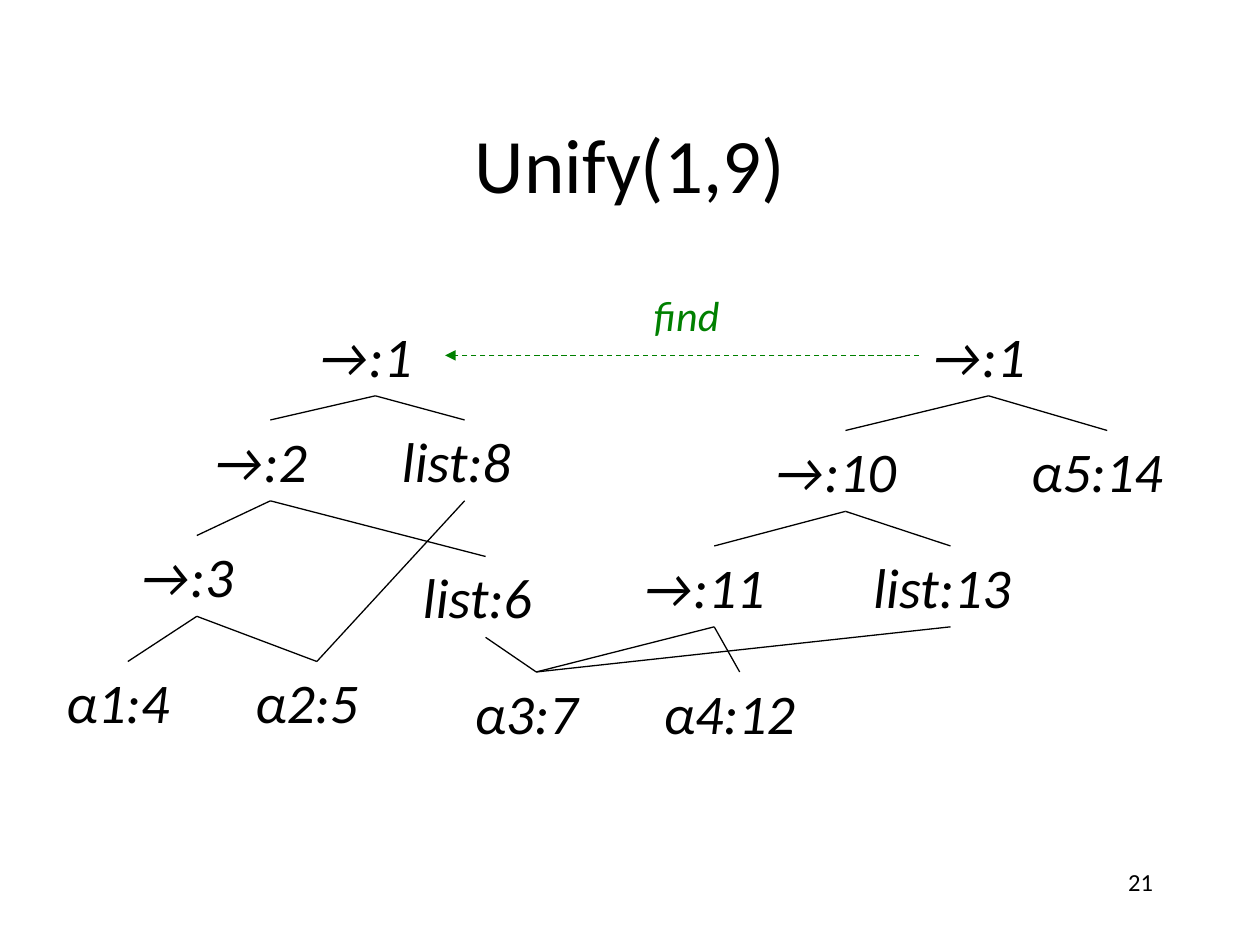
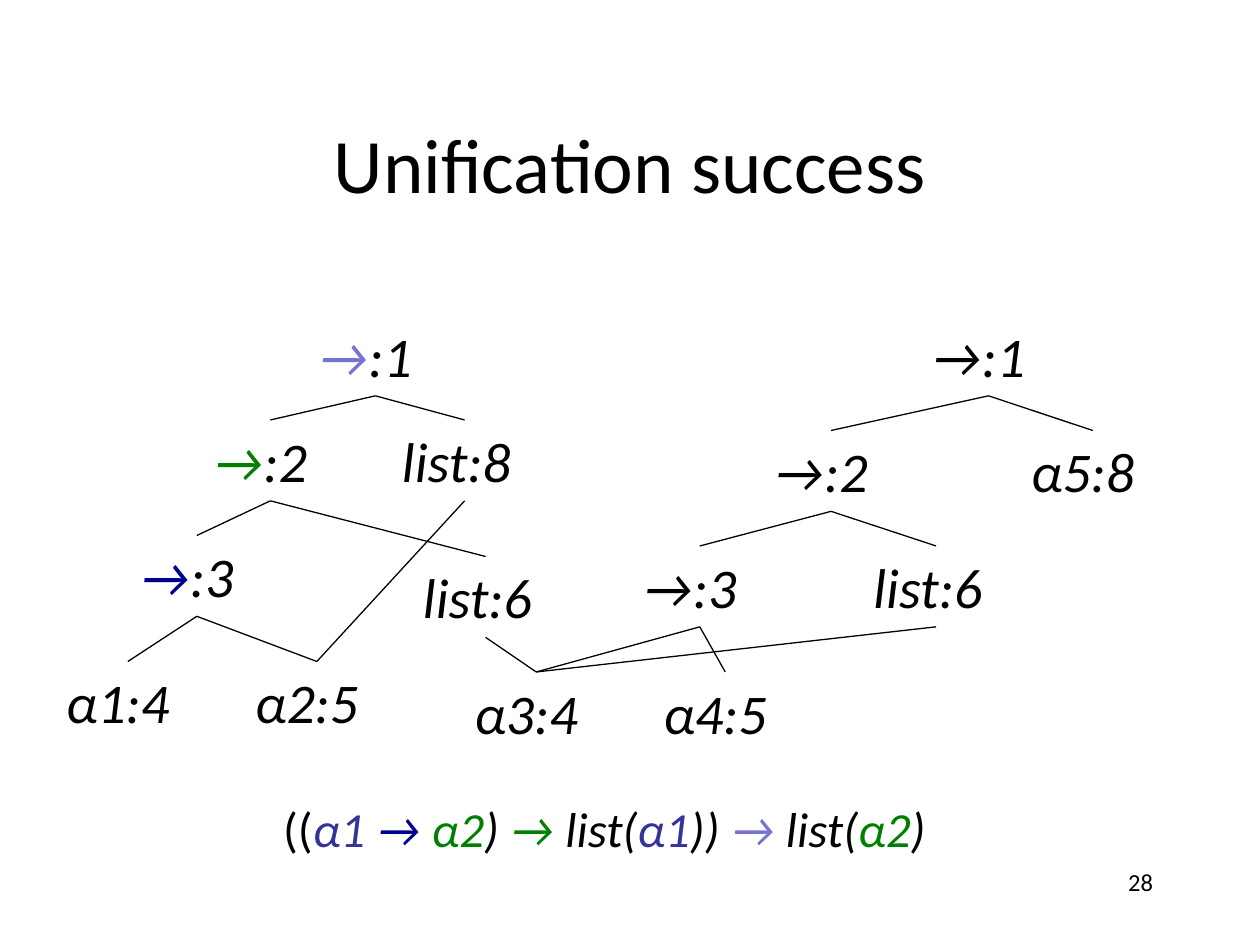
"""Build two slides showing a pair of type trees before and after unification."""
from lxml import etree
from pptx import Presentation
from pptx.dml.color import RGBColor
from pptx.enum.dml import MSO_LINE
from pptx.enum.shapes import MSO_CONNECTOR
from pptx.enum.text import MSO_ANCHOR, MSO_AUTO_SIZE, PP_ALIGN
from pptx.oxml.ns import qn
from pptx.util import Inches, Pt

BLACK = RGBColor(0x00, 0x00, 0x00)
GREEN = RGBColor(0x00, 0x80, 0x00)
NAVY = RGBColor(0x00, 0x00, 0x90)
INDIGO = RGBColor(0x33, 0x33, 0x99)
LILAC = RGBColor(0x75, 0x75, 0xD1)

FONT = "Calibri"
CELL = Inches(1) / 12
NODE_HEIGHT = 7.7
LABEL_WIDTHS = {"→": 13.3, "α": 14.15, "l": 14.3}
EXTRA_DIGIT_WIDTH = 2.75

NODE_PLACES = {
    "right root": (87.5, 30), "right arrow": (72.5, 41), "α5": (97, 41),
    "right inner": (60, 52), "α3": (44, 64), "α4": (62, 64),
    "right list": (82, 52),
    "left root": (29.1, 30), "left arrow": (19.1, 40), "upper list": (37.1, 40),
    "left inner": (12.1, 51), "α1": (5.1, 63), "α2": (23.1, 63),
    "lower list": (39.1, 53),
}
CHILDREN = {
    "right root": ("right arrow", "α5"),
    "right arrow": ("right inner", "right list"),
    "right inner": ("α3", "α4"),
    "right list": ("α3",),
    "left root": ("left arrow", "upper list"),
    "left arrow": ("left inner", "lower list"),
    "left inner": ("α1", "α2"),
    "upper list": ("α2",),
    "lower list": ("α3",),
}
LEFT_LABELS = {
    "left root": "→:1", "left arrow": "→:2", "upper list": "list:8",
    "left inner": "→:3", "α1": "α1:4", "α2": "α2:5", "lower list": "list:6",
}
BEFORE = LEFT_LABELS | {
    "right root": "→:1", "right arrow": "→:10", "α5": "α5:14",
    "right inner": "→:11", "α3": "α3:7", "α4": "α4:12", "right list": "list:13",
}
AFTER = LEFT_LABELS | {
    "right root": "→:1", "right arrow": "→:2", "α5": "α5:8",
    "right inner": "→:3", "α3": "α3:4", "α4": "α4:5", "right list": "list:6",
}
ARROW_COLORS = {"left root": LILAC, "left arrow": GREEN, "left inner": NAVY}
UNIFIED_TYPE = [
    ("α1 ", INDIGO), ("→ ", NAVY), ("α2", GREEN), (") ", BLACK), ("→ ", GREEN),
    ("list(", BLACK), ("α1", INDIGO), (")) ", BLACK), ("→", LILAC),
    (" list(", BLACK), ("α2", GREEN), (")", BLACK),
]


def cells(*counts):
    """Turn grid cells into whole EMU lengths."""
    return [round(count * CELL) for count in counts]


def add_run(paragraph, text, size, color=BLACK, italic=False):
    """Append one formatted run."""
    run = paragraph.add_run()
    run.text = text
    run.font.name = FONT
    run.font.size = Pt(size)
    run.font.color.rgb = color
    run.font.italic = italic


def add_text(slide, box, runs, size, italic=True, align=PP_ALIGN.LEFT,
             anchor=MSO_ANCHOR.TOP, grow=True):
    """Add a text box of coloured runs and return its paragraph."""
    frame = slide.shapes.add_textbox(*cells(*box)).text_frame
    frame.word_wrap = not grow
    frame.auto_size = MSO_AUTO_SIZE.SHAPE_TO_FIT_TEXT if grow else MSO_AUTO_SIZE.NONE
    frame.vertical_anchor = anchor
    paragraph = frame.paragraphs[0]
    paragraph.alignment = align
    for text, color in runs:
        add_run(paragraph, text, size, color, italic)
    return paragraph


def add_line(slide, start, end, color=BLACK):
    """Draw a thin straight line between two grid points."""
    line = slide.shapes.add_connector(MSO_CONNECTOR.STRAIGHT, *cells(*start, *end))
    line.line.color.rgb = color
    line.line.width = Pt(0.75)
    etree.SubElement(line._element.spPr, qn("a:effectLst"))
    return line


def node_width(label):
    """Give the width of a node from its kind and digit count."""
    digits = len(label.split(":")[1])
    return LABEL_WIDTHS[label[0]] + (digits - 1) * EXTRA_DIGIT_WIDTH


def add_forest(slide, labels, arrow_colors):
    """Draw both trees with their shared leaves."""
    centers = {}
    for name, (left, top) in NODE_PLACES.items():
        label = labels[name]
        width = node_width(label)
        centers[name] = left + width / 2
        runs = [(label, BLACK)]
        if name in arrow_colors:
            runs = [(label[0], arrow_colors[name]), (label[1:], BLACK)]
        add_text(slide, (left, top, width, NODE_HEIGHT), runs, 32)
    for parent, children in CHILDREN.items():
        bottom = NODE_PLACES[parent][1] + NODE_HEIGHT
        for child in children:
            add_line(slide, (centers[parent], bottom),
                     (centers[child], NODE_PLACES[child][1]))


def add_find_arrow(slide):
    """Link the right root to its representative."""
    left, top = NODE_PLACES["left root"]
    middle = top + NODE_HEIGHT / 2
    arrow = add_line(slide, (NODE_PLACES["right root"][0], middle),
                     (left + LABEL_WIDTHS["→"], middle), GREEN)
    arrow.line.dash_style = MSO_LINE.DASH
    etree.SubElement(arrow.line._get_or_add_ln(), qn("a:tailEnd"), type="triangle")
    add_text(slide, (60.7, 27, 9.4, 6), [("find", GREEN)], 24,
             align=PP_ALIGN.CENTER, anchor=MSO_ANCHOR.MIDDLE)


def add_unified_type(slide):
    """Write the resulting type below the trees."""
    paragraph = add_text(slide, (23.3, 76, 68.5, 6.4), [("((", BLACK)], 28, italic=False,
                         align=PP_ALIGN.CENTER, anchor=MSO_ANCHOR.MIDDLE)
    paragraph.line_spacing = 0.9
    paragraph.space_before = Pt(5.6)
    for text, color in UNIFIED_TYPE:
        add_run(paragraph, text, 28, color, italic=True)


def add_slide(deck, title, number, labels, arrow_colors):
    """Add a slide with its title, page number and trees."""
    slide = deck.slides.add_slide(deck.slide_layouts.get_by_name("Title Only"))
    heading = slide.shapes.title
    heading.left, heading.top, heading.width, heading.height = cells(9, 8, 102, 15)
    heading.text_frame.vertical_anchor = MSO_ANCHOR.MIDDLE
    paragraph = heading.text_frame.paragraphs[0]
    paragraph.alignment = PP_ALIGN.CENTER
    add_run(paragraph, title, 44)
    add_text(slide, (86, 82, 25, 6), [(str(number), BLACK)], 14, italic=False,
             align=PP_ALIGN.RIGHT, grow=False)
    add_forest(slide, labels, arrow_colors)
    return slide


def main():
    """Build and save the deck."""
    deck = Presentation()
    deck.slide_width, deck.slide_height = Inches(10), Inches(7.5)
    add_find_arrow(add_slide(deck, "Unify(1,9)", 21, BEFORE, {}))
    add_unified_type(add_slide(deck, "Unification success", 28, AFTER, ARROW_COLORS))
    deck.save("out.pptx")


main()
